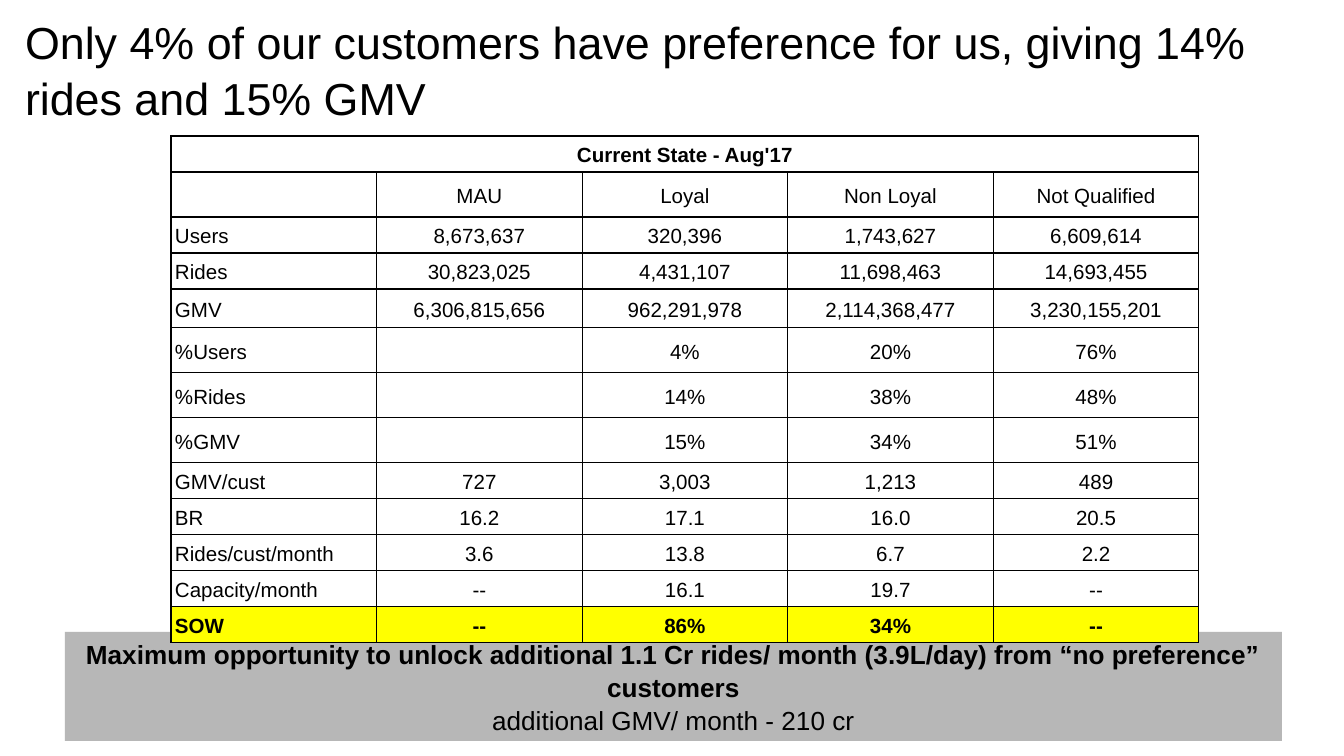
from dataclasses import dataclass

from lxml.etree import SubElement
from pptx import Presentation
from pptx.dml.color import RGBColor
from pptx.enum.shapes import MSO_SHAPE
from pptx.enum.text import MSO_ANCHOR, MSO_AUTO_SIZE, PP_ALIGN
from pptx.oxml.ns import qn
from pptx.util import Pt

SCALE = 914400 / 134.4
WIDTH, HEIGHT = 1344, 756


def px(n):
    """Turn whole px into EMU."""
    return round(n * SCALE)


@dataclass(frozen=True)
class Theme:
    """Colours, font and type sizes."""
    font: str = "Arial"
    ink: str = "000000"
    paper: str = "FFFFFF"
    band: str = "B7B7B7"
    mark: str = "FFFF00"
    head: int = 24
    note: int = 14
    body: int = 11
    rule: float = 0.75


HEAD = ["", "MAU", "Loyal", "Non Loyal", "Not Qualified"]
ROWS = [
    ["Current State - Aug'17", "", "", "", ""],
    HEAD,
    ["Users", "8,673,637", "320,396", "1,743,627", "6,609,614"],
    ["Rides", "30,823,025", "4,431,107", "11,698,463", "14,693,455"],
    ["GMV", "6,306,815,656", "962,291,978", "2,114,368,477", "3,230,155,201"],
    ["%Users", "", "4%", "20%", "76%"],
    ["%Rides", "", "14%", "38%", "48%"],
    ["%GMV", "", "15%", "34%", "51%"],
    ["GMV/cust", "727", "3,003", "1,213", "489"],
    ["BR", "16.2", "17.1", "16.0", "20.5"],
    ["Rides/cust/month", "3.6", "13.8", "6.7", "2.2"],
    ["Capacity/month", "--", "16.1", "19.7", "--"],
    ["SOW", "--", "86%", "34%", "--"],
]
TALL = {1: 44, 4: 39, 5: 44, 6: 44, 7: 44}


class Deck:
    """Holds the style and the current slide."""

    def __init__(self, theme):
        """Start a deck with one title-only slide."""
        self.theme = theme
        self.prs = Presentation()
        self.prs.slide_width, self.prs.slide_height = px(WIDTH), px(HEIGHT)
        self.slide = self.prs.slides.add_slide(self.prs.slide_layouts[5])

    def style(self, para, size, bold=False, align=PP_ALIGN.LEFT, space=1.05):
        """Format a paragraph and its runs."""
        para.alignment, para.line_spacing = align, space
        for run in para.runs:
            font = run.font
            font.name, font.size, font.bold = self.theme.font, Pt(size), bold
            font.color.rgb = RGBColor.from_string(self.theme.ink)

    def frame(self, frame, anchor):
        """Set the wrap, insets and anchor of a text frame."""
        frame.word_wrap, frame.auto_size = True, MSO_AUTO_SIZE.NONE
        frame.margin_left = frame.margin_right = px(13)
        frame.margin_top = frame.margin_bottom = px(13)
        frame.vertical_anchor = anchor

    def title(self, text, x, y, w, h):
        """Place and fill the title."""
        shape = self.slide.shapes.title
        shape.left, shape.top, shape.width, shape.height = map(px, (x, y, w, h))
        self.frame(shape.text_frame, MSO_ANCHOR.TOP)
        shape.text_frame.text = text
        self.style(shape.text_frame.paragraphs[0], self.theme.head)

    def banner(self, lines, x, y, w, h):
        """Add a filled band whose first line is bold."""
        shape = self.slide.shapes.add_shape(
            MSO_SHAPE.RECTANGLE, *map(px, (x, y, w, h)))
        shape.shadow.inherit = False
        shape.fill.solid()
        shape.fill.fore_color.rgb = RGBColor.from_string(self.theme.band)
        shape.line.fill.background()
        self.frame(shape.text_frame, MSO_ANCHOR.MIDDLE)
        shape.text_frame.text = "\n".join(lines)
        for i, para in enumerate(shape.text_frame.paragraphs):
            self.style(para, self.theme.note, i == 0, PP_ALIGN.CENTER)

    def border(self, cell):
        """Rule all four sides of a cell."""
        props = cell._tc.get_or_add_tcPr()
        for side in ("lnL", "lnR", "lnT", "lnB"):
            line = SubElement(props, qn(f"a:{side}"), w=str(Pt(self.theme.rule)))
            fill = SubElement(line, qn("a:solidFill"))
            SubElement(fill, qn("a:srgbClr"), val=self.theme.ink)

    def cell(self, cell, text, color, bold, align):
        """Fill and format one cell."""
        self.border(cell)
        cell.fill.solid()
        cell.fill.fore_color.rgb = RGBColor.from_string(color)
        cell.margin_left = cell.margin_right = px(4)
        cell.margin_top = cell.margin_bottom = px(2)
        cell.vertical_anchor = MSO_ANCHOR.MIDDLE
        if text:
            cell.text = text
            self.style(cell.text_frame.paragraphs[0], self.theme.body,
                       bold, align, 1.15)

    def table(self, rows, x, y, w, tall, high):
        """Add a grid with a merged top row and a marked last row."""
        sizes = [tall.get(r, high) for r in range(len(rows))]
        cols, last = len(rows[0]), len(rows) - 1
        grid = self.slide.shapes.add_table(
            len(rows), cols, *map(px, (x, y, w, sum(sizes)))).table
        grid.first_row = grid.horz_banding = False
        for col in grid.columns:
            col.width = px(w / cols)
        grid.cell(0, 0).merge(grid.cell(0, cols - 1))
        for r, row in enumerate(rows):
            grid.rows[r].height = px(sizes[r])
            color = self.theme.mark if r == last else self.theme.paper
            for c, text in enumerate(row):
                align = PP_ALIGN.LEFT if r and c == 0 else PP_ALIGN.CENTER
                self.cell(grid.cell(r, c), text, color, r in (0, last), align)

    def save(self):
        """Write the deck."""
        self.prs.save("out.pptx")


def main():
    """Build the customer preference slide."""
    deck = Deck(Theme())
    deck.banner(["Maximum opportunity to unlock additional 1.1 Cr rides/ month "
                 "(3.9L/day) from “no preference” customers",
                 "additional GMV/ month - 210 cr"], 65, 632, 1217, 109)
    deck.title("Only 4% of our customers have preference for us, "
               "giving 14% rides and 15% GMV", 12, -1, 1328, 85)
    deck.table(ROWS, 171, 136, 1028, TALL, 36)
    deck.save()


if __name__ == "__main__":
    main()
